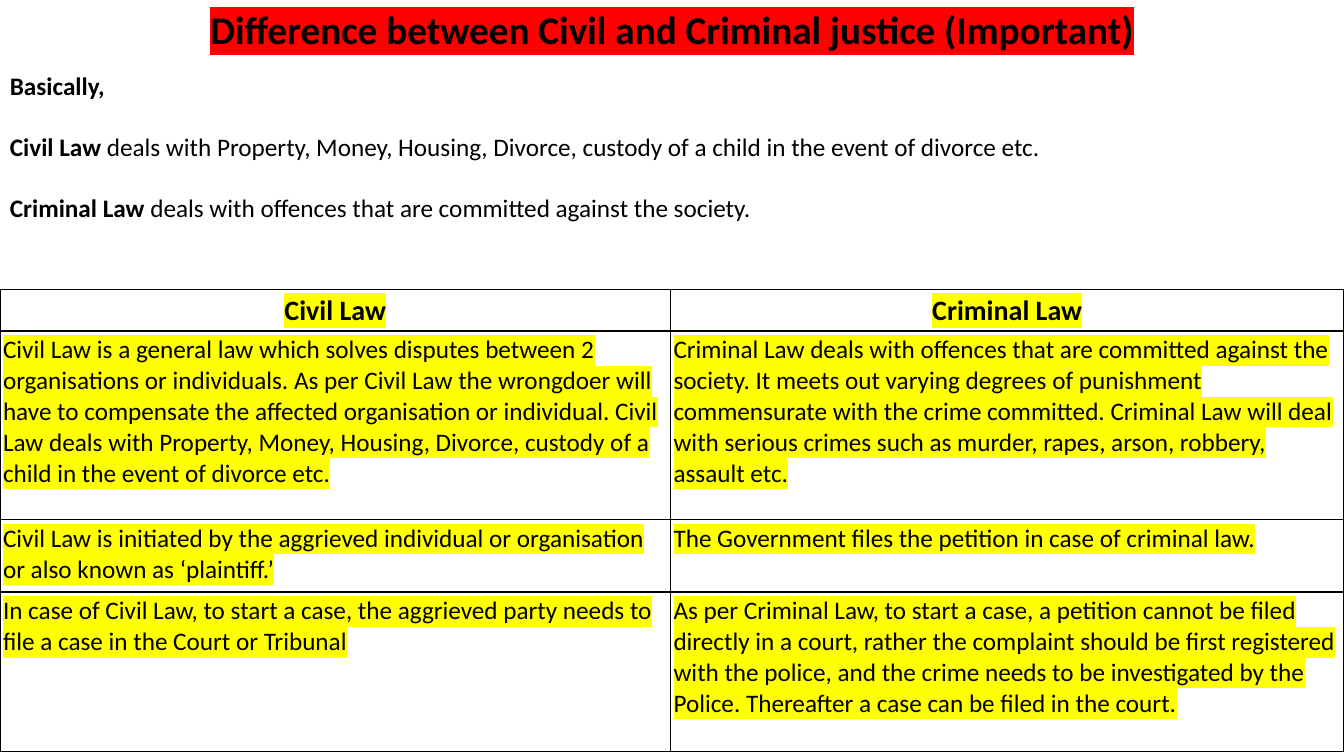
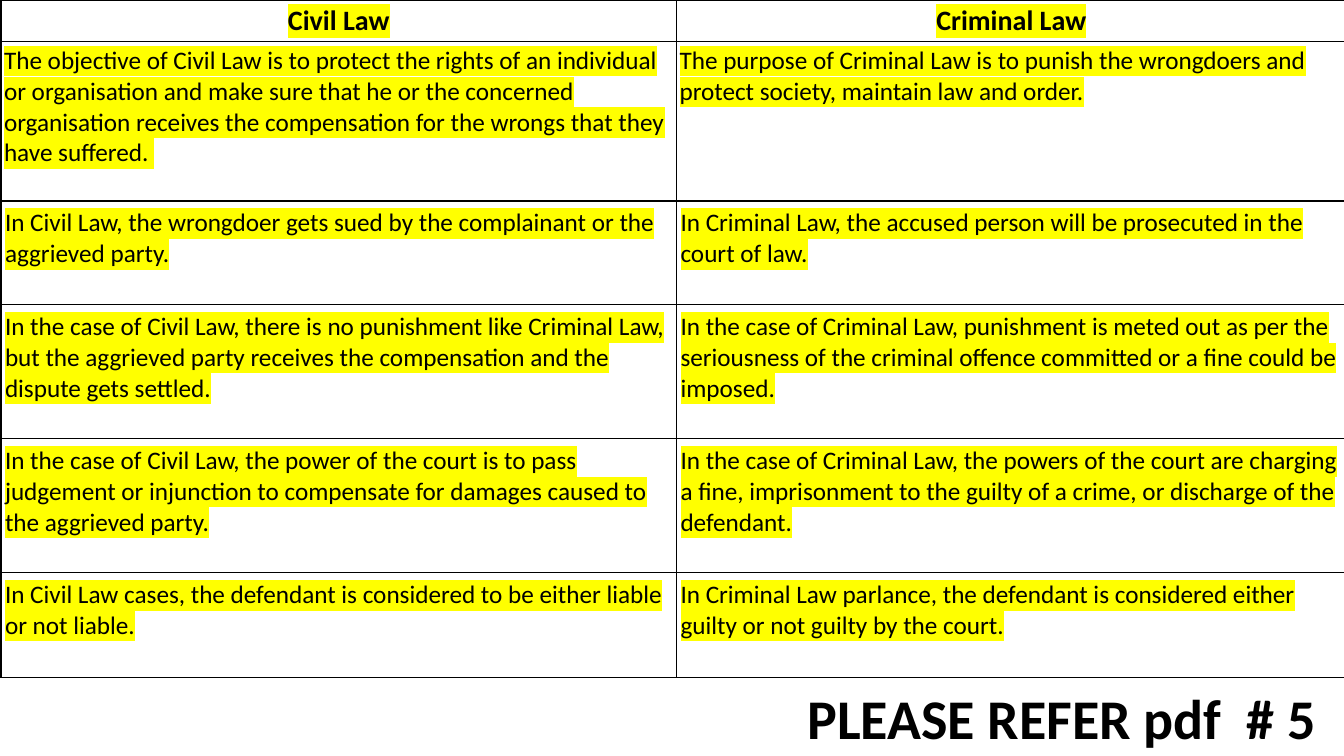
from lxml import etree
from pptx import Presentation
from pptx.dml.color import RGBColor
from pptx.enum import text
from pptx.oxml import ns
from pptx.util import Inches, Pt

COLORS = {"ink": "000000", "page": "FFFFFF", "alert": "FF0000", "marker": "FFFF00"}
FONT = "Calibri"
TITLE_ONLY, BLANK = 5, 6
HEADINGS = ("Civil Law", "Criminal Law")
TIGHT = (0.03, 0.04)
LOOSE = (0.04, 0.07)

INTRO = [
    ("Basically,", ""),
    ("Civil Law ", "deals with Property, Money, Housing, Divorce, custody of a child in the event of divorce etc."),
    ("Criminal Law ", "deals with offences that are committed against the society."),
]

NATURE_ROWS = [
    (0.41, TIGHT, HEADINGS),
    (1.87, TIGHT, (
        "Civil Law is a general law which solves disputes between 2 organisations or individuals. "
        "As per Civil Law the wrongdoer will have to compensate the affected organisation or individual. "
        "Civil Law deals with Property, Money, Housing, Divorce, custody of a child in the event of divorce etc.",
        "Criminal Law deals with offences that are committed against the society. "
        "It meets out varying degrees of punishment commensurate with the crime committed. "
        "Criminal Law will deal with serious crimes such as murder, rapes, arson, robbery, assault etc.")),
    (0.72, TIGHT, (
        "Civil Law is initiated by the aggrieved individual or organisation or also known as ‘plaintiff.’",
        "The Government files the petition in case of criminal law.")),
    (1.58, TIGHT, (
        "In case of Civil Law, to start a case, the aggrieved party needs to file a case in the Court or Tribunal",
        "As per Criminal Law, to start a case, a petition cannot be filed directly in a court, "
        "rather the complaint should be first registered with the police, and the crime needs to be "
        "investigated by the Police. Thereafter a case can be filed in the court.")),
]

OUTCOME_ROWS = [
    (0.41, TIGHT, HEADINGS),
    (1.58, TIGHT, (
        "The objective of Civil Law is to protect the rights of an individual or organisation and make sure "
        "that he or the concerned organisation receives the compensation for the wrongs that they have suffered. ",
        "The purpose of Criminal Law is to punish the wrongdoers and protect society, maintain law and order.")),
    (1.03, LOOSE, (
        "In Civil Law, the wrongdoer gets sued by the complainant or the aggrieved party.",
        "In Criminal Law, the accused person will be prosecuted in the court of law.")),
    (1.33, LOOSE, (
        "In the case of Civil Law, there is no punishment like Criminal Law, "
        "but the aggrieved party receives the compensation and the dispute gets settled.",
        "In the case of Criminal Law, punishment is meted out as per the seriousness "
        "of the criminal offence committed or a fine could be imposed.")),
    (1.33, LOOSE, (
        "In the case of Civil Law, the power of the court is to pass judgement or injunction "
        "to compensate for damages caused to the aggrieved party.",
        "In the case of Criminal Law, the powers of the court are charging a fine, "
        "imprisonment to the guilty of a crime, or discharge of the defendant.")),
    (1.04, LOOSE, (
        "In Civil Law cases, the defendant is considered to be either liable or not liable.",
        "In Criminal Law parlance, the defendant is considered either guilty or not guilty by the court.")),
]


class Deck:
    def __init__(self):
        self.deck = Presentation()
        self.deck.slide_width = Inches(13.33)
        self.deck.slide_height = Inches(7.5)
        self.page = None

    def add_page(self, layout):
        self.page = self.deck.slides.add_slide(self.deck.slide_layouts[layout])

    def style(self, span, size, bold=False, highlight=None):
        font = span.font
        font.size, font.bold, font.name = Pt(size), bold, FONT
        font.color.rgb = RGBColor.from_string(COLORS["ink"])
        if highlight:
            mark = etree.Element(ns.qn("a:highlight"))
            etree.SubElement(mark, ns.qn("a:srgbClr"), val=COLORS[highlight])
            span._r.rPr.find(ns.qn("a:solidFill")).addnext(mark)

    def fit(self, frame):
        frame.word_wrap = True
        frame.auto_size = text.MSO_AUTO_SIZE.SHAPE_TO_FIT_TEXT
        frame.vertical_anchor = text.MSO_ANCHOR.TOP

    def line(self, frame, words, size, highlight=None):
        frame.text = words
        para = frame.paragraphs[0]
        para.alignment = text.PP_ALIGN.CENTER
        self.style(para.runs[0], size, True, highlight)

    def title(self, words):
        box = self.page.shapes.title
        box.left, box.top, box.width, box.height = Inches(0), Inches(0), Inches(13.33), Inches(0.57)
        self.fit(box.text_frame)
        self.line(box.text_frame, words, 28, "alert")

    def text_box(self, left, top, width, height):
        box = self.page.shapes.add_textbox(Inches(left), Inches(top), Inches(width), Inches(height))
        self.fit(box.text_frame)
        return box.text_frame

    def intro(self, lines):
        frame = self.text_box(0, 0.65, 13.33, 1.62)
        for index, (lead, rest) in enumerate(lines):
            para = frame.add_paragraph() if index else frame.paragraphs[0]
            para.text = lead
            para.space_before = Pt(22 if index else 0)
            self.style(para.runs[0], 18, True)
            if rest:
                span = para.add_run()
                span.text = rest
                self.style(span, 18)

    def note(self, words):
        self.line(self.text_box(7.71, 6.73, 5.64, 0.77), words, 40)

    def border(self, cell):
        props = cell._tc.get_or_add_tcPr()
        for index, side in enumerate(("lnL", "lnR", "lnT", "lnB")):
            edge = etree.Element(ns.qn(f"a:{side}"), w=str(Pt(1)))
            fill = etree.SubElement(edge, ns.qn("a:solidFill"))
            etree.SubElement(fill, ns.qn("a:srgbClr"), val=COLORS["ink"])
            props.insert(index, edge)

    def cell(self, cell, words, insets, heading):
        cell.margin_left = cell.margin_right = Inches(insets[0])
        cell.margin_top = cell.margin_bottom = Inches(insets[1])
        cell.fill.solid()
        cell.fill.fore_color.rgb = RGBColor.from_string(COLORS["page"])
        self.border(cell)
        if heading:
            self.line(cell.text_frame, words, 20, "marker")
        else:
            cell.text_frame.text = words
            self.style(cell.text_frame.paragraphs[0].runs[0], 18, highlight="marker")

    def table(self, left, top, widths, rows):
        height = sum(row[0] for row in rows)
        table = self.page.shapes.add_table(
            len(rows), len(widths), Inches(left), Inches(top), Inches(sum(widths)), Inches(height)).table
        table.first_row = table.horz_banding = False
        for column, width in zip(table.columns, widths):
            column.width = Inches(width)
        for index, (height, insets, entries) in enumerate(rows):
            table.rows[index].height = Inches(height)
            for cell, words in zip(table.rows[index].cells, entries):
                self.cell(cell, words, insets, index == 0)


def main():
    deck = Deck()

    deck.add_page(TITLE_ONLY)
    deck.intro(INTRO)
    deck.title("Difference between Civil and Criminal justice (Important)")
    deck.table(0, 2.87, (6.65, 6.68), NATURE_ROWS)

    deck.add_page(BLANK)
    deck.table(0.01, 0, (6.7, 6.64), OUTCOME_ROWS)
    deck.note("PLEASE REFER pdf  # 5")

    deck.deck.save("out.pptx")


if __name__ == "__main__":
    main()
